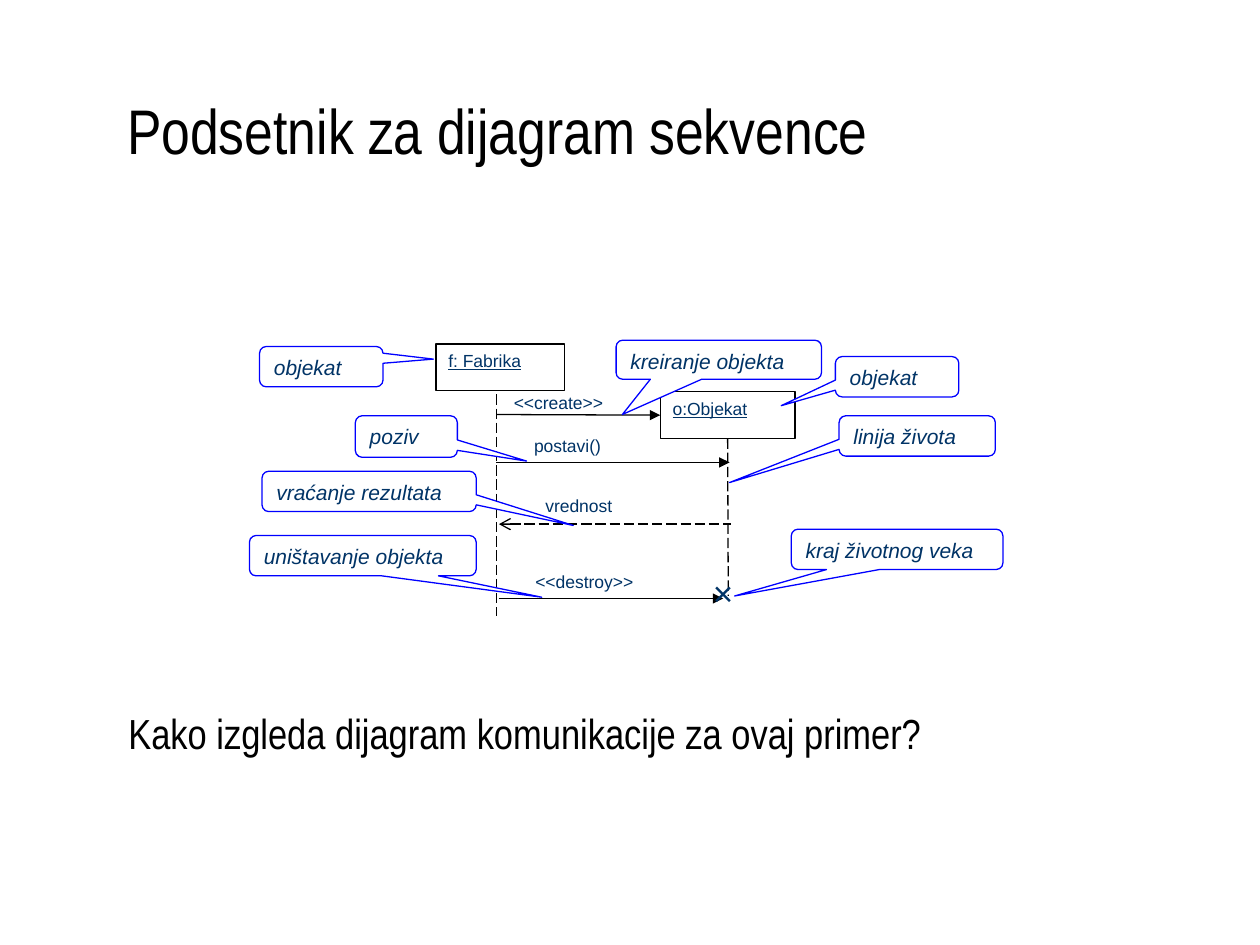
from typing import NamedTuple, Optional

from lxml import etree
from pptx import Presentation
from pptx import util as u
from pptx.dml.color import RGBColor
from pptx.enum import dml, shapes, text
from pptx.oxml import ns

BLACK = RGBColor(0x00, 0x00, 0x00)
WHITE = RGBColor(0xFF, 0xFF, 0xFF)
NAVY = RGBColor(0x00, 0x33, 0x66)
BLUE = RGBColor(0x00, 0x00, 0xFF)
SHAPE = shapes.MSO_SHAPE


class Box(NamedTuple):
    x: float
    y: float
    w: float
    h: float

    def place(self) -> list:
        return [u.Inches(v) for v in self]


class Style(NamedTuple):
    size: float
    font: str = "Arial"
    color: RGBColor = NAVY
    under: Optional[bool] = None
    slant: Optional[bool] = None
    space: Optional[float] = None


class Label(NamedTuple):
    words: str
    box: Box
    style: Style
    anchor: text.MSO_ANCHOR = text.MSO_ANCHOR.TOP


class Line(NamedTuple):
    x1: float
    y1: float
    x2: float
    y2: float
    dash: bool = False
    head: str = ""
    tail: str = ""


class Note(NamedTuple):
    """A callout whose wedge points at (tipx, tipy)."""
    words: str
    box: Box
    tipx: float
    tipy: float


HEAD = Style(36, "Arial Narrow", BLACK, space=0.9)
BODY = Style(24, "Arial Narrow", BLACK, space=0.8)
PLAIN = Style(10)
NAME = Style(10, under=True)
HINT = Style(12, slant=True)

LABELS = [
    Label("Podsetnik za dijagram sekvence", Box(0.91, 0.29, 8.51, 1.09),
          HEAD, text.MSO_ANCHOR.BOTTOM),
    Label("Kako izgleda dijagram komunikacije za ovaj primer?",
          Box(0.92, 5.64, 8.41, 1.18), BODY),
    Label("<<create>>", Box(3.98, 3.06, 1.23, 0.29), PLAIN),
    Label("postavi()", Box(4.14, 3.4, 1.23, 0.29), PLAIN),
    Label("vrednost", Box(4.23, 3.88, 1.23, 0.29), PLAIN),
    Label("<<destroy>>", Box(4.15, 4.48, 1.28, 0.29), PLAIN),
    Label("×", Box(5.56, 4.49, 1.09, 0.45), Style(20)),
]

FACTORY = Label("f: Fabrika", Box(3.46, 2.73, 1.02, 0.37), NAME)
OBJECT = Label("o:Objekat", Box(5.24, 3.11, 1.07, 0.37), NAME)

CREATE = Line(3.94, 3.29, 5.24, 3.29, tail="triangle")
LIFE = Line(5.79, 3.5, 5.78, 4.73, dash=True)
LINES = [
    Line(3.94, 3.13, 3.94, 4.89, dash=True),
    Line(3.94, 3.67, 5.79, 3.67, tail="triangle"),
    Line(3.96, 4.16, 5.8, 4.16, dash=True, head="arrow"),
    Line(3.96, 4.75, 5.74, 4.75, tail="triangle"),
]

NOTES = [
    Note("objekat", Box(6.63, 2.83, 0.98, 0.32), 6.2, 3.22),
    Note("linija života", Box(6.66, 3.3, 1.24, 0.32), 5.79, 3.83),
    Note("kraj životnog veka", Box(6.28, 4.2, 1.68, 0.32), 5.83, 4.73),
    Note("vraćanje rezultata", Box(2.08, 3.74, 1.7, 0.32), 4.55, 4.17),
    Note("poziv", Box(2.82, 3.3, 0.81, 0.33), 4.18, 3.66),
    Note("kreiranje objekta", Box(4.89, 2.7, 1.63, 0.31), 4.94, 3.29),
    Note("objekat", Box(2.06, 2.75, 0.98, 0.32), 3.44, 2.85),
    Note("uništavanje objekta", Box(1.98, 4.25, 1.8, 0.32), 4.3, 4.74),
]


def write(shape, words: str, style: Style, anchor=text.MSO_ANCHOR.TOP) -> None:
    frame = shape.text_frame
    frame.word_wrap = True
    frame.vertical_anchor = anchor
    para = frame.paragraphs[0]
    para.alignment = text.PP_ALIGN.LEFT
    if style.space:
        para.line_spacing = style.space
    run = para.add_run()
    run.text = words
    font = run.font
    font.size = u.Pt(style.size)
    font.name = style.font
    font.color.rgb = style.color
    font.underline = style.under
    font.italic = style.slant


def add_label(slide, label: Label) -> None:
    shape = slide.shapes.add_textbox(*label.box.place())
    write(shape, label.words, label.style, label.anchor)


def add_panel(slide, kind: SHAPE, box: Box, edge: RGBColor):
    """Add a white shape with a thin outline."""
    shape = slide.shapes.add_shape(kind, *box.place())
    shape.shadow.inherit = False
    shape.fill.solid()
    shape.fill.fore_color.rgb = WHITE
    shape.line.color.rgb = edge
    shape.line.width = u.Pt(0.75)
    return shape


def add_actor(slide, label: Label):
    shape = add_panel(slide, SHAPE.RECTANGLE, label.box, BLACK)
    write(shape, label.words, label.style)
    return shape


def add_line(slide, line: Line):
    ends = [u.Inches(v) for v in line[:4]]
    link = slide.shapes.add_connector(shapes.MSO_CONNECTOR.STRAIGHT, *ends)
    link.line.color.rgb = BLACK
    link.line.width = u.Pt(0.75)
    if line.dash:
        link.line.dash_style = dml.MSO_LINE.LONG_DASH
    props = link.line._get_or_add_ln()
    for tag, kind in (("a:headEnd", line.head), ("a:tailEnd", line.tail)):
        if kind:
            etree.SubElement(props, ns.qn(tag), type=kind)
    etree.SubElement(link._element.spPr, ns.qn("a:effectLst"))
    return link


def add_note(slide, note: Note) -> None:
    box = note.box
    shape = add_panel(slide, SHAPE.ROUNDED_RECTANGULAR_CALLOUT, box, BLUE)
    shape.adjustments[0] = (note.tipx - box.x) / box.w - 0.5
    shape.adjustments[1] = (note.tipy - box.y) / box.h - 0.5
    write(shape, note.words, HINT)


def main() -> None:
    deck = Presentation()
    deck.slide_width, deck.slide_height = u.Inches(10), u.Inches(7.5)
    slide = deck.slides.add_slide(deck.slide_layouts[6])
    add_actor(slide, FACTORY)
    actor = add_actor(slide, OBJECT)
    add_line(slide, CREATE).end_connect(actor, 1)
    add_line(slide, LIFE).begin_connect(actor, 2)
    for line in LINES:
        add_line(slide, line)
    for label in LABELS:
        add_label(slide, label)
    for note in NOTES:
        add_note(slide, note)
    deck.save("out.pptx")


if __name__ == "__main__":
    main()
